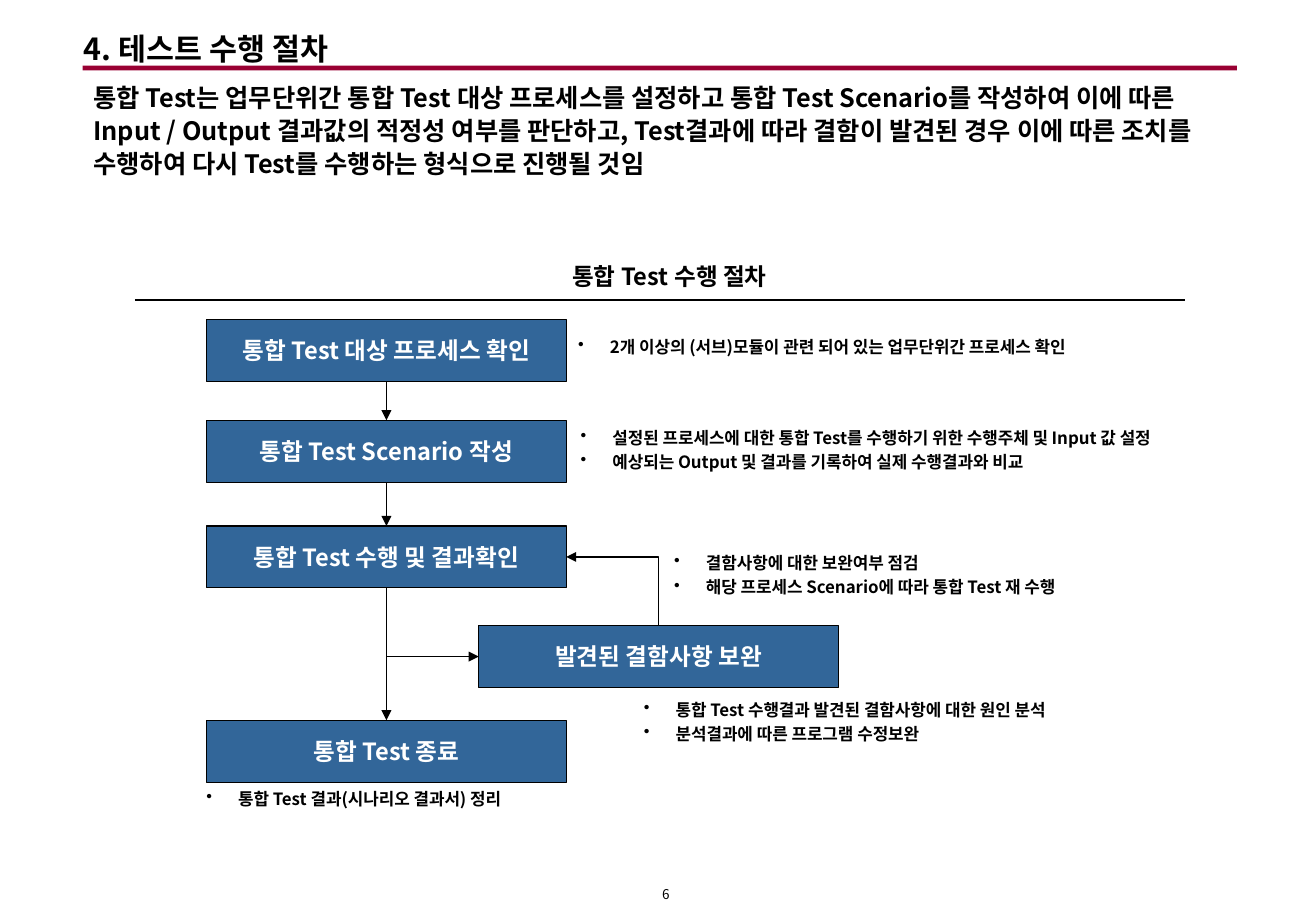
"""Build the slide on the integration test procedure."""
from lxml import etree
from pptx import Presentation
from pptx.dml.color import RGBColor
from pptx.enum.shapes import MSO_CONNECTOR, MSO_SHAPE
from pptx.enum.text import MSO_ANCHOR, MSO_AUTO_SIZE, PP_ALIGN
from pptx.oxml.ns import qn
from pptx.util import Inches, Pt

STRAIGHT, ELBOW = MSO_CONNECTOR.STRAIGHT, MSO_CONNECTOR.ELBOW
RECT = MSO_SHAPE.RECTANGLE
TOP, MIDDLE, BOTTOM = MSO_ANCHOR.TOP, MSO_ANCHOR.MIDDLE, MSO_ANCHOR.BOTTOM
LEFT, CENTER = PP_ALIGN.LEFT, PP_ALIGN.CENTER
FIXED = MSO_AUTO_SIZE.NONE
FONT = "Noto Sans CJK KR"
BLACK, WHITE, BLUE, RED = "000000", "FFFFFF", "326699", "990033"
rgb = RGBColor.from_string


def write(shape, text, size, color=BLACK, align=LEFT, anchor=TOP, wrap=True, bold=True):
    frame = shape.text_frame
    frame.text = text
    frame.word_wrap = wrap
    frame.auto_size = FIXED
    frame.vertical_anchor = anchor
    for para in frame.paragraphs:
        para.alignment = align
        for run in para.runs:
            font = run.font
            font.name, font.size, font.bold = FONT, Pt(size), bold
            font.color.rgb = rgb(color)
            etree.SubElement(run._r.get_or_add_rPr(), qn("a:ea"), typeface=FONT)
    return frame


def draw(kind, x1, y1, x2, y2):
    line = slide.shapes.add_connector(kind, x1, y1, x2, y2)
    line.line.color.rgb = rgb(BLACK)
    line.line.width = Pt(0.75)
    etree.SubElement(line.element.spPr, qn("a:effectLst"))
    return line


prs = Presentation()
prs.slide_width, prs.slide_height = Inches(10.83), Inches(7.5)
slide = prs.slides.add_slide(prs.slide_layouts[5])
shapes = slide.shapes

title = shapes.title
title.left, title.top = Inches(0.59), Inches(0.2)
title.width, title.height = Inches(8.03), Inches(0.4)
write(title, "4. 테스트 수행 절차", 18)

bar = shapes.add_shape(RECT, Inches(0.68), Inches(0.54), Inches(9.5), Inches(0.04))
bar.shadow.inherit = False
bar.fill.solid()
bar.fill.fore_color.rgb = rgb(RED)
bar.line.fill.background()

intro = shapes.add_textbox(Inches(0.67), Inches(0.6), Inches(9.5), Inches(0.94))
frame = write(
    intro,
    "통합 Test는 업무단위간 통합 Test 대상 프로세스를 설정하고 통합 Test Scenario를 작성하여 "
    "이에 따른 Input / Output 결과값의 적정성 여부를 판단하고, Test결과에 따라 결함이 발견된 경우 "
    "이에 따른 조치를 수행하여 다시 Test를 수행하는 형식으로 진행될 것임",
    15,
)
frame.paragraphs[0].line_spacing = 1.1

head = shapes.add_textbox(Inches(4.61), Inches(2.11), Inches(1.95), Inches(0.34))
write(head, "통합 Test 수행 절차", 14, wrap=False)
draw(STRAIGHT, Inches(1.11), Inches(2.47), Inches(9.75), Inches(2.47))

steps = [
    (1.7, 2.63, "통합 Test 대상 프로세스 확인"),
    (1.7, 3.46, "통합 Test Scenario 작성"),
    (1.7, 4.33, "통합 Test 수행 및 결과확인"),
    (3.94, 5.15, "발견된 결함사항 보완"),
    (1.7, 5.93, "통합 Test 종료"),
]
boxes = []
for x, y, text in steps:
    box = shapes.add_shape(RECT, Inches(x), Inches(y), Inches(2.96), Inches(0.51))
    box.shadow.inherit = False
    box.fill.solid()
    box.fill.fore_color.rgb = rgb(BLUE)
    box.line.color.rgb = rgb(BLACK)
    box.line.width = Pt(0.75)
    write(box, text, 14, WHITE, CENTER, MIDDLE, wrap=False)
    boxes.append(box)
check, plan, test, fix, end = boxes

links = [
    (check, 2, plan, 0, 0),
    (plan, 2, test, 0, 0),
    (test, 2, end, 0, 0),
    (test, 2, fix, 1, 270),
    (fix, 0, test, 3, 90),
]
for start, out, goal, into, turn in links:
    link = draw(ELBOW if turn else STRAIGHT, 0, 0, 0, 0)
    link.begin_connect(start, out)
    link.end_connect(goal, into)
    etree.SubElement(link.line._get_or_add_ln(), qn("a:tailEnd"), type="triangle")
    if turn:
        wide, high = link.width, link.height
        link.left += (wide - high) // 2
        link.top += (high - wide) // 2
        link.width, link.height = high, wide
        prop = link.element.spPr
        prop.find(qn("a:prstGeom")).set("prst", "bentConnector2")
        form = prop.find(qn("a:xfrm"))
        form.set("rot", str(turn * 60000))
        form.set("flipH", "1")
        form.set("flipV", "0")

notes = [
    (4.66, 2.72, 4.51, [" 2개 이상의 (서브)모듈이 관련 되어 있는 업무단위간 프로세스 확인"]),
    (4.68, 3.47, 5.23, [" 설정된 프로세스에 대한 통합 Test를 수행하기 위한 수행주체 및 Input 값 설정",
                        " 예상되는 Output 및 결과를 기록하여 실제 수행결과와 비교"]),
    (5.45, 4.5, 3.46, [" 결함사항에 대한 보완여부 점검",
                       " 해당 프로세스 Scenario에 따라 통합 Test 재 수행"]),
    (5.2, 5.71, 3.72, [" 통합 Test 수행결과 발견된 결함사항에 대한 원인 분석",
                       " 분석결과에 따른 프로그램 수정보완"]),
    (1.6, 6.44, 2.71, [" 통합 Test 결과(시나리오 결과서) 정리"]),
]
for x, y, wide, items in notes:
    high = 0.07 + 0.2 * len(items)
    note = shapes.add_textbox(Inches(x), Inches(y), Inches(wide), Inches(high))
    for para in write(note, "\n".join(items), 10).paragraphs:
        para.space_before = Pt(2.4)
        prop = para._p.get_or_add_pPr()
        prop.set("marL", str(Inches(0.23)))
        prop.set("indent", str(-Inches(0.23)))
        etree.SubElement(prop, qn("a:buChar"), char="•")

page = shapes.add_textbox(Inches(5.39), Inches(7.28), Inches(0.18), Inches(0.17))
frame = write(page, "6", 8, align=CENTER, anchor=BOTTOM, wrap=False, bold=False)
frame.margin_left = frame.margin_right = Inches(0.02)
frame.margin_top = frame.margin_bottom = Inches(0.02)

prs.save("out.pptx")
